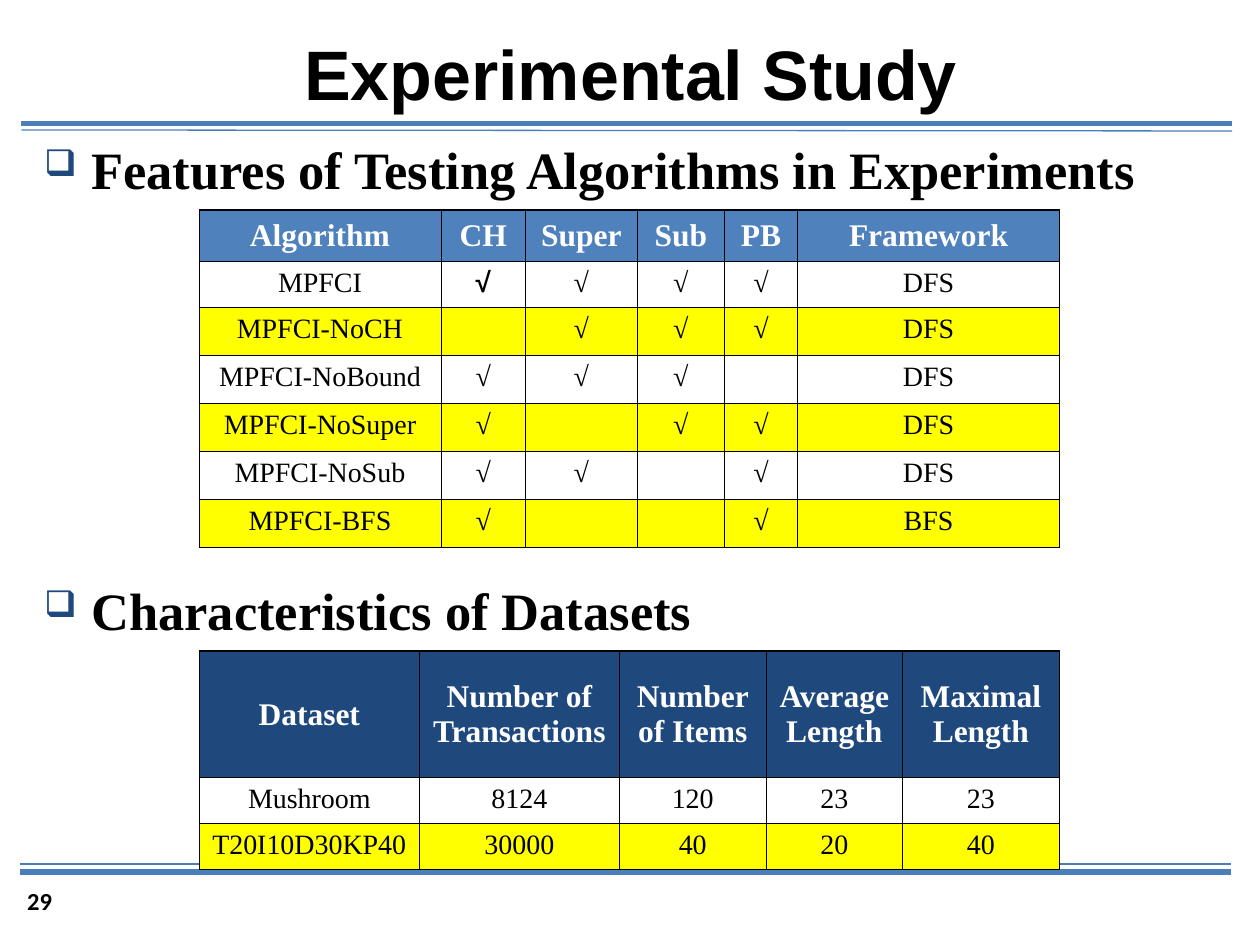
from lxml import etree
from pptx import Presentation
from pptx.dml.color import RGBColor
from pptx.enum.shapes import MSO_CONNECTOR
from pptx.enum.text import MSO_ANCHOR, PP_ALIGN
from pptx.oxml.ns import qn
from pptx.util import Cm, Pt

BLACK = RGBColor(0x00, 0x00, 0x00)
WHITE = RGBColor(0xFF, 0xFF, 0xFF)
YELLOW = RGBColor(0xFF, 0xFF, 0x00)
RULE_BLUE = RGBColor(0x4A, 0x7E, 0xBB)
HEADER_BLUE = RGBColor(0x4F, 0x81, 0xBD)
NAVY = RGBColor(0x1F, 0x49, 0x7D)
SERIF = "Times New Roman"
STRAIGHT = MSO_CONNECTOR.STRAIGHT
TOP, MIDDLE = MSO_ANCHOR.TOP, MSO_ANCHOR.MIDDLE
LEFT, CENTER = PP_ALIGN.LEFT, PP_ALIGN.CENTER
TICK = "√"


def write_text(frame, text, size, font=SERIF, color=BLACK, bold=True,
               align=LEFT, anchor=TOP, bullet=None):
    frame.word_wrap = True
    frame.vertical_anchor = anchor
    paragraph = frame.paragraphs[0]
    paragraph.alignment = align
    if bullet:
        properties = paragraph._p.get_or_add_pPr()
        properties.set("marL", str(Cm(0.95)))
        properties.set("indent", str(Cm(-0.95)))
        bullet_color = etree.SubElement(properties, qn("a:buClr"))
        etree.SubElement(bullet_color, qn("a:srgbClr"), val=str(NAVY))
        etree.SubElement(properties, qn("a:buSzPct"), val="70000")
        etree.SubElement(properties, qn("a:buChar"), char=bullet)
    run = paragraph.add_run()
    run.text = text
    run.font.name = font
    run.font.size = Pt(size)
    run.font.bold = bold
    run.font.color.rgb = color


def set_borders(cell, widths):
    """Draw black borders; widths are points for left, right, top, bottom."""
    properties = cell._tc.get_or_add_tcPr()
    for side, width in zip("LRTB", widths):
        line = etree.SubElement(properties, qn(f"a:ln{side}"), w=str(Pt(width)))
        fill = etree.SubElement(line, qn("a:solidFill"))
        etree.SubElement(fill, qn("a:srgbClr"), val=str(BLACK))


presentation = Presentation()
presentation.slide_width = Cm(25.4)
presentation.slide_height = Cm(19.05)
slide = presentation.slides.add_slide(presentation.slide_layouts[6])

# Double rules under the title and above the page number
rules = [
    (0.43, 2.49, 24.84, 2.49, 3),
    (0.43, 2.62, 24.84, 2.64, 0.75),
    (0.41, 17.58, 24.82, 17.58, 3),
    (0.41, 17.42, 24.82, 17.42, 0.75),
]
for x1, y1, x2, y2, width in rules:
    rule = slide.shapes.add_connector(STRAIGHT, Cm(x1), Cm(y1), Cm(x2), Cm(y2))
    rule.line.color.rgb = RULE_BLUE
    rule.line.width = Pt(width)
    etree.SubElement(rule._element.spPr, qn("a:effectLst"))

# Title, section headings and page number
heading = {"size": 30, "anchor": MIDDLE, "bullet": "❑"}
texts = [
    ("Experimental Study", (2.34, 0.46, 20.75, 2.01),
     {"size": 40, "font": "Arial", "align": CENTER, "anchor": MIDDLE}),
    ("Features of Testing Algorithms in Experiments",
     (0.64, 2.54, 24.13, 1.7), heading),
    ("Characteristics of Datasets", (0.64, 11.43, 24.13, 1.7), heading),
    ("29", (0.3, 17.73, 2.59, 1.02), {"size": 14, "font": "Calibri"}),
]
for text, box, text_format in texts:
    shape = slide.shapes.add_textbox(*map(Cm, box))
    write_text(shape.text_frame, text, **text_format)

# Tables: top, header colour, column widths, row heights, rows
tables = [
    (4.24, HEADER_BLUE, [4.88, 1.7, 2.26, 1.75, 1.48, 5.28],
     [1.02, 0.93] + [0.97] * 5, [
        ["Algorithm", "CH", "Super", "Sub", "PB", "Framework"],
        ["MPFCI", TICK, TICK, TICK, TICK, "DFS"],
        ["MPFCI-NoCH", "", TICK, TICK, TICK, "DFS"],
        ["MPFCI-NoBound", TICK, TICK, TICK, "", "DFS"],
        ["MPFCI-NoSuper", TICK, "", TICK, TICK, "DFS"],
        ["MPFCI-NoSub", TICK, TICK, "", TICK, "DFS"],
        ["MPFCI-BFS", TICK, "", "", TICK, "BFS"],
    ]),
    (13.13, NAVY, [4.45, 4.02, 2.97, 2.74, 3.17], [2.54, 0.93, 0.93], [
        ["Dataset", "Number of Transactions", "Number of Items",
         "Average Length", "Maximal Length"],
        ["Mushroom", "8124", "120", "23", "23"],
        ["T20I10D30KP40", "30000", "40", "20", "40"],
    ]),
]
for top, header_color, widths, heights, rows in tables:
    table = slide.shapes.add_table(
        len(rows), len(widths), Cm(4.01), Cm(top),
        Cm(sum(widths)), Cm(sum(heights))).table
    for column, width in zip(table.columns, widths):
        column.width = Cm(width)
    for row, height in zip(table.rows, heights):
        row.height = Cm(height)
    for i, values in enumerate(rows):
        for j, value in enumerate(values):
            cell = table.cell(i, j)
            is_last = j == len(values) - 1
            set_borders(cell, (0.45, 1.08 if is_last else 0.45,
                               1.08 if i == 0 else 0.45, 0.45))
            if i % 2:
                cell.fill.background()
            else:
                cell.fill.solid()
                cell.fill.fore_color.rgb = YELLOW if i else header_color
            if not value:
                cell.margin_top = cell.margin_bottom = 0
            elif i == 0:
                write_text(cell.text_frame, value, 18, color=WHITE, align=CENTER)
                cell.vertical_anchor = MIDDLE
            else:
                font = "Arial" if value == TICK and (i, j) == (1, 1) else SERIF
                write_text(cell.text_frame, value, 16, font=font,
                           bold=value == TICK, align=CENTER)

presentation.save("out.pptx")
